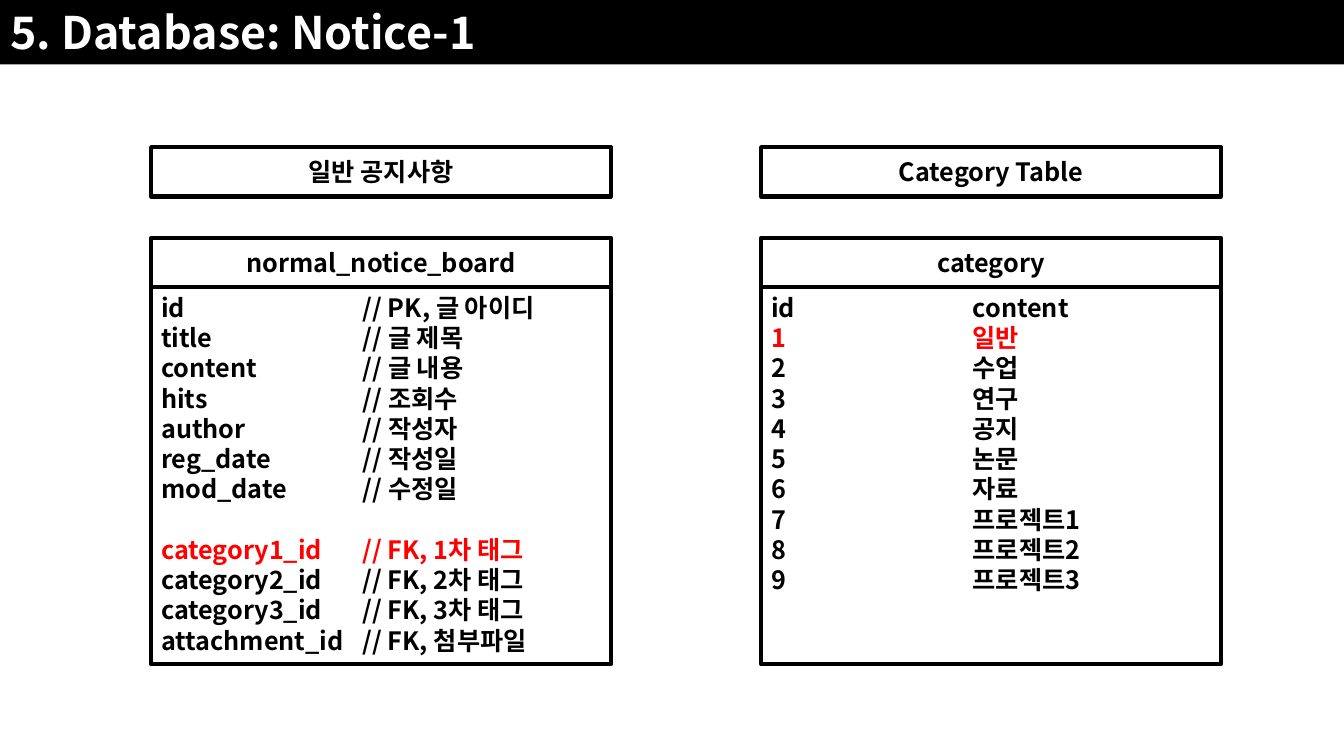
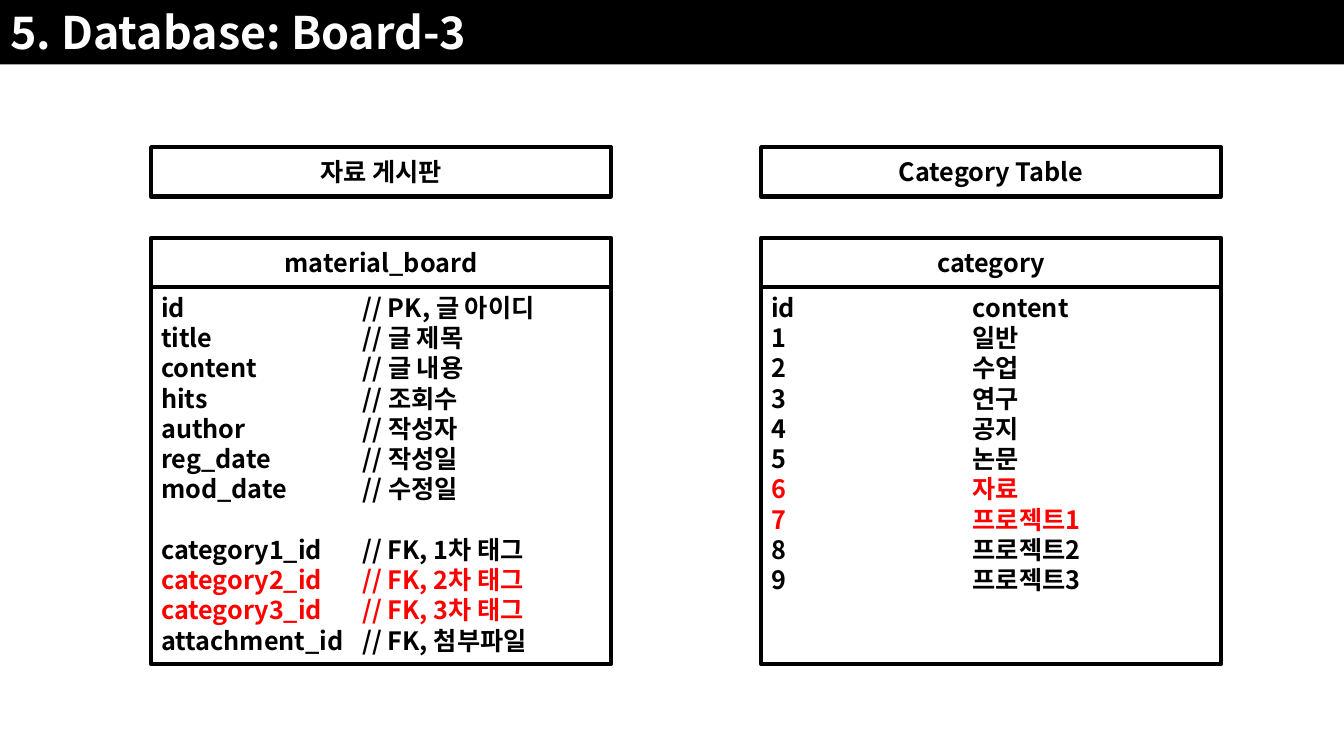
"""Build two database slides, each pairing a board schema with the category table."""
from lxml import etree
from pptx import Presentation
from pptx.dml.color import RGBColor
from pptx.enum.shapes import MSO_SHAPE
from pptx.enum.text import MSO_ANCHOR, MSO_AUTO_SIZE, PP_ALIGN
from pptx.oxml.ns import qn
from pptx.util import Inches, Pt

RECT = MSO_SHAPE.RECTANGLE
TOP, MIDDLE = MSO_ANCHOR.TOP, MSO_ANCHOR.MIDDLE
LEFT, CENTER = PP_ALIGN.LEFT, PP_ALIGN.CENTER
NO_FIT = MSO_AUTO_SIZE.NONE

FONT = "Noto Sans CJK KR"
BLACK, WHITE, RED = "000000", "FFFFFF", "FF0000"
SLIDE_W, SLIDE_H, BAND_H = 13.33, 7.5, 0.64
COLUMN_X, BOX_W = (1.5, 7.55), 4.56
LABEL_Y, NAME_Y, HEAD_H = 1.46, 2.36, 0.49
ROWS_Y, ROWS_H = NAME_Y + HEAD_H, 3.74
TAB_X, GROUP_GAP = 2, 21.6

FIELDS = [
    ("id", "// PK, 글 아이디"),
    ("title", "// 글 제목"),
    ("content", "// 글 내용"),
    ("hits", "// 조회수"),
    ("author", "// 작성자"),
    ("reg_date", "// 작성일"),
    ("mod_date", "// 수정일"),
    ("category1_id", "// FK, 1차 태그"),
    ("category2_id", "// FK, 2차 태그"),
    ("category3_id", "// FK, 3차 태그"),
    ("attachment_id", "// FK, 첨부파일"),
]
CATEGORIES = [
    ("id", "content"),
    ("1", "일반"),
    ("2", "수업"),
    ("3", "연구"),
    ("4", "공지"),
    ("5", "논문"),
    ("6", "자료"),
    ("7", "프로젝트1"),
    ("8", "프로젝트2"),
    ("9", "프로젝트3"),
]
GROUP_START = "category1_id"
SLIDES = [
    {"title": "5. Database: Notice-1", "label": "일반 공지사항",
     "table": "normal_notice_board", "red": {"category1_id", "1"}},
    {"title": "5. Database: Board-3", "label": "자료 게시판",
     "table": "material_board", "red": {"category2_id", "category3_id", "6", "7"}},
]


def color(value):
    return RGBColor.from_string(value)


def add_run(p, text, size, hex_color):
    r = p.add_run()
    r.text = text
    for name, value in {"name": FONT, "size": Pt(size), "bold": True}.items():
        setattr(r.font, name, value)
    r.font.color.rgb = color(hex_color)
    east_asian = etree.SubElement(r.font._element, qn("a:ea"))
    east_asian.set("typeface", FONT)


def add_title(s, text):
    sp = s.shapes.title
    box = {"left": 0, "top": 0, "width": SLIDE_W, "height": BAND_H}
    for name, value in box.items():
        setattr(sp, name, Inches(value))
    sp.fill.solid()
    sp.fill.fore_color.rgb = color(BLACK)
    tf = sp.text_frame
    tf.auto_size, tf.vertical_anchor = NO_FIT, TOP
    p = tf.paragraphs[0]
    p.alignment = LEFT
    add_run(p, text, 32, WHITE)


def add_box(s, x, y, h, anchor):
    sp = s.shapes.add_shape(RECT, Inches(x), Inches(y), Inches(BOX_W), Inches(h))
    sp.shadow.inherit = False
    sp.fill.background()
    sp.line.color.rgb = color(BLACK)
    sp.line.width = Pt(3)
    tf = sp.text_frame
    tf.word_wrap, tf.vertical_anchor = True, anchor
    return tf


def add_heading(s, x, y, text):
    p = add_box(s, x, y, HEAD_H, MIDDLE).paragraphs[0]
    p.alignment = CENTER
    add_run(p, text, 18, BLACK)


def add_rows(s, x, rows, red):
    tf = add_box(s, x, ROWS_Y, ROWS_H, TOP)
    for i, (key, value) in enumerate(rows):
        p = tf.add_paragraph() if i else tf.paragraphs[0]
        p.alignment = LEFT
        if key == GROUP_START:
            p.space_before = Pt(GROUP_GAP)
        tabs = etree.SubElement(p._p.get_or_add_pPr(), qn("a:tabLst"))
        etree.SubElement(tabs, qn("a:tab"), pos=str(Inches(TAB_X)), algn="l")
        add_run(p, f"{key}\t{value}", 18, RED if key in red else BLACK)


def main():
    prs = Presentation()
    prs.slide_width, prs.slide_height = Inches(SLIDE_W), Inches(SLIDE_H)
    for data in SLIDES:
        s = prs.slides.add_slide(prs.slide_layouts[5])
        add_title(s, data["title"])
        columns = [(data["label"], data["table"], FIELDS),
                   ("Category Table", "category", CATEGORIES)]
        for x, (label, table, rows) in zip(COLUMN_X, columns):
            add_rows(s, x, rows, data["red"])
            add_heading(s, x, NAME_Y, table)
            add_heading(s, x, LABEL_Y, label)
    prs.save("out.pptx")


if __name__ == "__main__":
    main()
